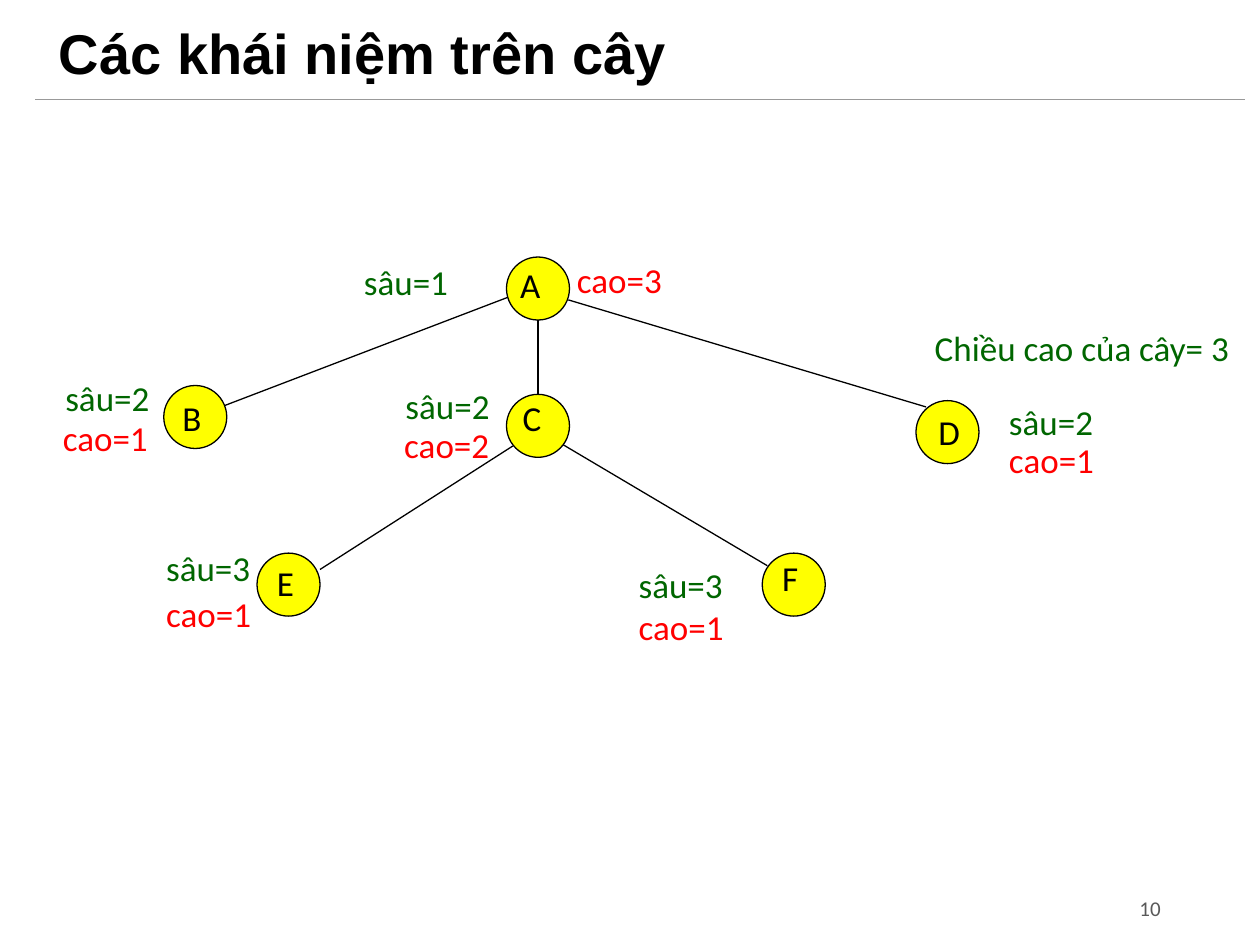
from lxml import etree
from pptx import Presentation
from pptx.dml.color import RGBColor
from pptx.enum.shapes import MSO_CONNECTOR as Connector, MSO_SHAPE as Shape
from pptx.enum.text import MSO_ANCHOR as Anchor, MSO_AUTO_SIZE as AutoSize, PP_ALIGN as Align
from pptx.oxml.ns import qn
from pptx.util import Inches, Pt

BLACK, GREEN, RED, YELLOW = "000000", "006600", "FF0000", "FFFF00"
GRAY, RULE = "595959", "999999"
DIAMETER, LABEL_HEIGHT = 0.5, 0.44
LETTER_WIDTH, DEPTH_WIDTH, HEIGHT_WIDTH = 0.44, 0.9, 1.33

TITLE = "Các khái niệm trên cây"
SUMMARY = "Chiều cao của cây= 3"
PAGE_NUMBER = "10"

# name, circle, letter, depth, depth label, height, height label
NODES = [
    ("A", (4.02, 2.04), (4.03, 2.04), 1, (2.79, 2.02), 3, (4.48, 2.0)),
    ("B", (1.3, 3.06), (1.35, 3.1), 2, (0.42, 2.94), 1, (0.4, 3.26)),
    ("C", (4.02, 3.13), (4.05, 3.1), 2, (3.12, 3.0), 2, (3.11, 3.31)),
    ("D", (7.27, 3.18), (7.35, 3.21), 2, (7.91, 3.13), 1, (7.91, 3.43)),
    ("E", (2.04, 4.39), (2.1, 4.41), 3, (1.22, 4.29), 1, (1.22, 4.65)),
    ("F", (6.05, 4.39), (6.11, 4.37), 3, (4.97, 4.42), 1, (4.97, 4.76)),
]
EDGES = [
    ((4.03, 2.36), (1.78, 3.22)),
    ((4.27, 2.54), (4.27, 3.13)),
    ((4.51, 2.38), (7.35, 3.23)),
    ((4.07, 3.54), (2.54, 4.52)),
    ((4.47, 3.53), (6.09, 4.49)),
]


def rgb(color):
    return RGBColor.from_string(color)


def add_text(page, text, position, width, height, color, size=20, font="Calibri"):
    box = page.shapes.add_textbox(*map(Inches, (*position, width, height)))
    box.text_frame.word_wrap = True
    para = box.text_frame.paragraphs[0]
    para.text = text
    para.font.name = font
    para.font.size = Pt(size)
    para.font.color.rgb = rgb(color)
    return box


def add_label(page, text, position, width, color):
    box = add_text(page, text, position, width, LABEL_HEIGHT, color)
    box.text_frame.auto_size = AutoSize.SHAPE_TO_FIT_TEXT


def add_line(page, start, end, color):
    line = page.shapes.add_connector(Connector.STRAIGHT, *map(Inches, (*start, *end)))
    line.line.color.rgb = rgb(color)
    line.line.width = Pt(0.75)
    etree.SubElement(line._element.spPr, qn("a:effectLst"))


def add_circle(page, position):
    circle = page.shapes.add_shape(Shape.OVAL, *map(Inches, (*position, DIAMETER, DIAMETER)))
    circle.shadow.inherit = False
    circle.fill.solid()
    circle.fill.fore_color.rgb = rgb(YELLOW)
    circle.line.color.rgb = rgb(BLACK)
    circle.line.width = Pt(0.75)


def main():
    deck = Presentation()
    deck.slide_width, deck.slide_height = Inches(10), Inches(7.5)
    page = deck.slides.add_slide(deck.slide_layouts[6])

    title = add_text(page, TITLE, (0.37, 0.13), 9.13, 0.63, BLACK, 32, "Arial")
    title.text_frame.vertical_anchor = Anchor.MIDDLE
    title.text_frame.paragraphs[0].font.bold = True
    title.text_frame.paragraphs[0].line_spacing = 0.9
    add_line(page, (0.28, 0.79), (9.88, 0.79), RULE)

    for _, circle_at, *_ in NODES:
        add_circle(page, circle_at)
    for start, end in EDGES:
        add_line(page, start, end, BLACK)
    for name, _, letter_at, depth, depth_at, height, height_at in NODES:
        add_label(page, name, letter_at, LETTER_WIDTH, BLACK)
        add_label(page, f"sâu={depth}", depth_at, DEPTH_WIDTH, GREEN)
        add_label(page, f"cao={height}", height_at, HEIGHT_WIDTH, RED)
    add_label(page, SUMMARY, (7.32, 2.54), 2.62, GREEN)

    number = add_text(page, PAGE_NUMBER, (8.06, 7.01), 1.25, 0.4, GRAY, 12)
    number.text_frame.vertical_anchor = Anchor.MIDDLE
    number.text_frame.paragraphs[0].alignment = Align.RIGHT

    deck.save("out.pptx")


if __name__ == "__main__":
    main()
